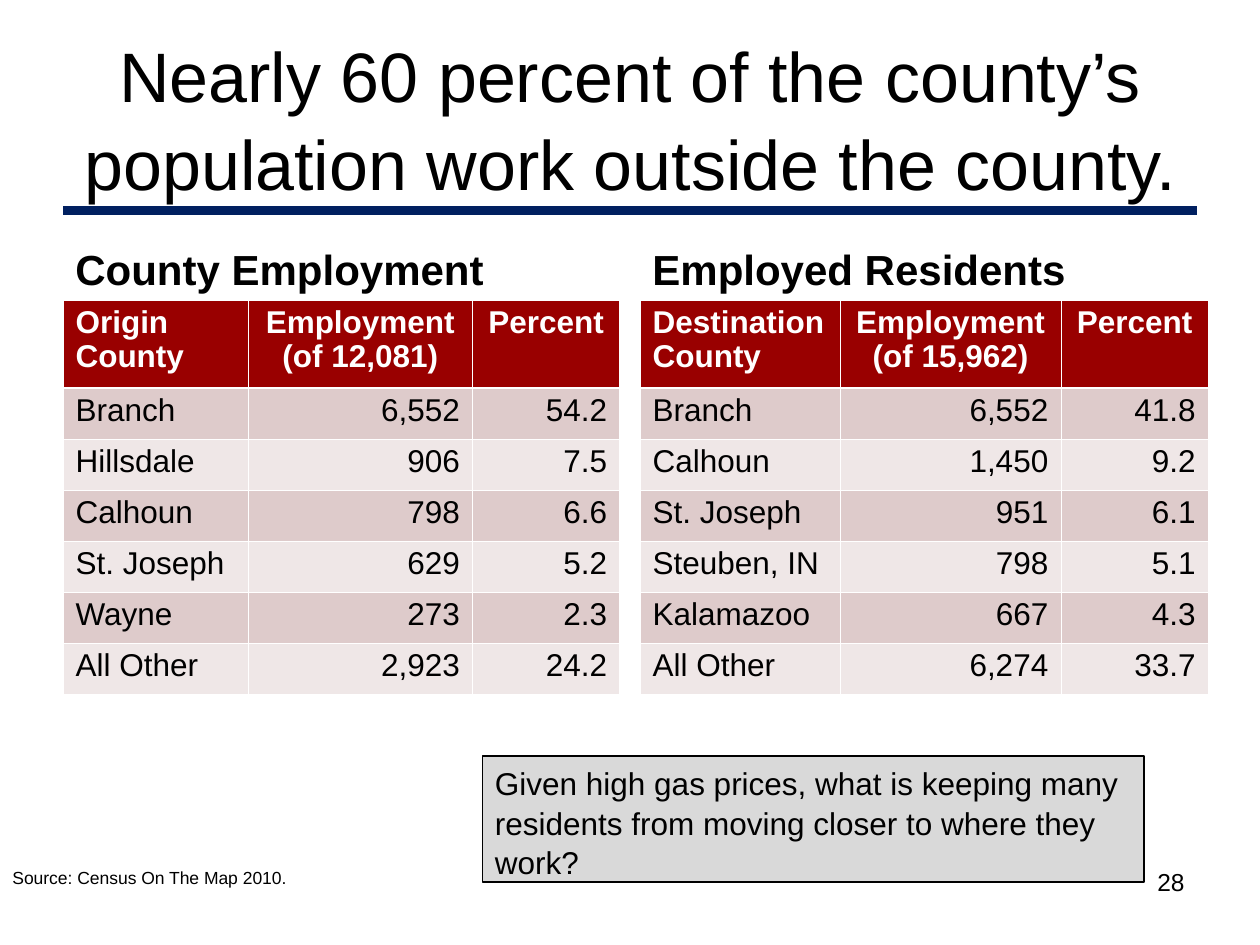
"""Build a slide comparing where county workers live and where residents work."""
import lxml.etree
import pptx
import pptx.dml.color
import pptx.enum.shapes
import pptx.enum.text
import pptx.oxml.ns
import pptx.util

Inches = pptx.util.Inches
Pt = pptx.util.Pt
qn = pptx.oxml.ns.qn
ALIGN = pptx.enum.text.PP_ALIGN
ANCHOR = pptx.enum.text.MSO_ANCHOR

HOME = [
    ("Origin County", "Employment\n(of 12,081)", "Percent"),
    ("Branch", "6,552", "54.2"),
    ("Hillsdale", "906", "7.5"),
    ("Calhoun", "798", "6.6"),
    ("St. Joseph", "629", "5.2"),
    ("Wayne", "273", "2.3"),
    ("All Other", "2,923", "24.2"),
]
WORK = [
    ("Destination County", "Employment\n(of 15,962)", "Percent"),
    ("Branch", "6,552", "41.8"),
    ("Calhoun", "1,450", "9.2"),
    ("St. Joseph", "951", "6.1"),
    ("Steuben, IN", "798", "5.1"),
    ("Kalamazoo", "667", "4.3"),
    ("All Other", "6,274", "33.7"),
]


def tint(code):
    """Return the colour for a hex string."""
    return pptx.dml.color.RGBColor.from_string(code)


def write(frame, text, size=18, color="000000", bold=False,
          align=ALIGN.LEFT, anchor=ANCHOR.TOP, space=1.0):
    """Fill a text frame with one paragraph for each line of text."""
    frame.word_wrap = True
    frame.vertical_anchor = anchor
    for i, line in enumerate(text.split("\n")):
        para = frame.paragraphs[0] if i == 0 else frame.add_paragraph()
        para.alignment = align
        para.line_spacing = space
        run = para.add_run()
        run.text = line
        run.font.name = "Arial"
        run.font.size = Pt(size)
        run.font.bold = bold
        run.font.color.rgb = tint(color)


def label(slide, box, text, **style):
    """Add a text box at left, top, width, height in inches."""
    shape = slide.shapes.add_textbox(*map(Inches, box))
    write(shape.text_frame, text, **style)


def rule(slide, left, right, top, color, width):
    """Add a level line."""
    line = slide.shapes.add_connector(
        pptx.enum.shapes.MSO_CONNECTOR.STRAIGHT,
        Inches(left), Inches(top), Inches(right), Inches(top))
    line.line.color.rgb = tint(color)
    line.line.width = Pt(width)
    lxml.etree.SubElement(line._element.spPr, qn("a:effectLst"))


def panel(slide, box, text, fill, edge):
    """Add a framed rectangle with text."""
    shape = slide.shapes.add_shape(
        pptx.enum.shapes.MSO_SHAPE.RECTANGLE, *map(Inches, box))
    shape.shadow.inherit = False
    shape.fill.solid()
    shape.fill.fore_color.rgb = tint(fill)
    shape.line.color.rgb = tint(edge)
    shape.line.width = Pt(0.75)
    write(shape.text_frame, text, space=1.05)


def edges(cell, top, bottom):
    """Draw white borders round a cell, with its top and bottom widths."""
    props = cell._tc.get_or_add_tcPr()
    sides = {"lnL": 0.45, "lnR": 0.45, "lnT": top, "lnB": bottom}
    for side, width in sides.items():
        line = lxml.etree.SubElement(props, qn("a:" + side), w=str(Pt(width)))
        fill = lxml.etree.SubElement(line, qn("a:solidFill"))
        lxml.etree.SubElement(fill, qn("a:srgbClr"), val="FFFFFF")


def grid(slide, left, top, widths, rows):
    """Add a table with a dark head row and banded body rows."""
    heights = [0.7] + [0.405] * (len(rows) - 1)
    table = slide.shapes.add_table(
        len(rows), len(widths), Inches(left), Inches(top),
        Inches(sum(widths)), Inches(sum(heights))).table
    table.first_row = table.horz_banding = False
    for col, width in zip(table.columns, widths):
        col.width = Inches(width)
    for r, row in enumerate(rows):
        table.rows[r].height = Inches(heights[r])
        head = r == 0
        fill = "990000" if head else ("EFE7E7", "DECBCB")[r % 2]
        for c, text in enumerate(row):
            cell = table.cell(r, c)
            edges(cell, 1.47 if r == 1 else 0.45, 1.47 if head else 0.45)
            cell.fill.solid()
            cell.fill.fore_color.rgb = tint(fill)
            side = ALIGN.CENTER if head else ALIGN.RIGHT
            write(cell.text_frame, text, bold=head,
                  color="FFFFFF" if head else "000000",
                  align=side if c else ALIGN.LEFT, space=0.97)


def main():
    """Build and save the slide."""
    deck = pptx.Presentation()
    deck.slide_width, deck.slide_height = Inches(10), Inches(7.5)
    slide = deck.slides.add_slide(deck.slide_layouts[6])
    rule(slide, 0.5, 9.5, 1.67, "002060", 5)
    label(slide, (0.5, 0.3, 9, 1.25),
          "Nearly 60 percent of the county’s population work outside the county.",
          size=40, align=ALIGN.CENTER, anchor=ANCHOR.MIDDLE, space=1.05)
    parts = [
        (0.5, "County Employment", (1.47, 1.78, 1.17), HOME),
        (5.08, "Employed Residents", (1.59, 1.75, 1.17), WORK),
    ]
    for left, name, widths, rows in parts:
        label(slide, (left, 1.68, 4.42, 0.7), name,
              size=24, bold=True, anchor=ANCHOR.BOTTOM)
        grid(slide, left, 2.38, widths, rows)
    label(slide, (0, 6.83, 2.42, 0.27), "Source: Census On The Map 2010.", size=10)
    panel(slide, (3.83, 6, 5.25, 1),
          "Given high gas prices, what is keeping many residents "
          "from moving closer to where they work?", "D9D9D9", "000000")
    label(slide, (7.17, 6.83, 2.33, 0.52), "28", size=14, align=ALIGN.RIGHT)
    deck.save("out.pptx")


if __name__ == "__main__":
    main()
